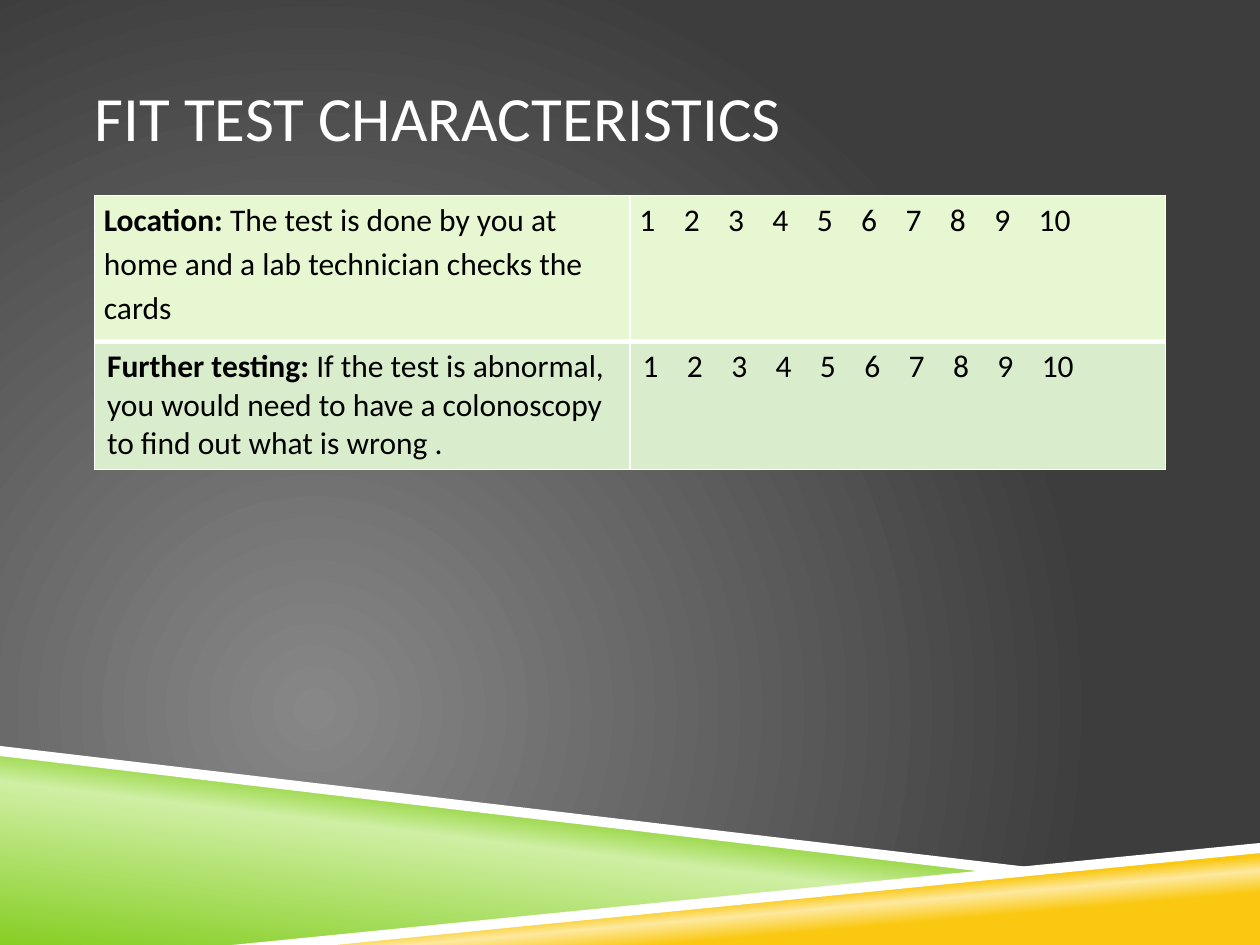
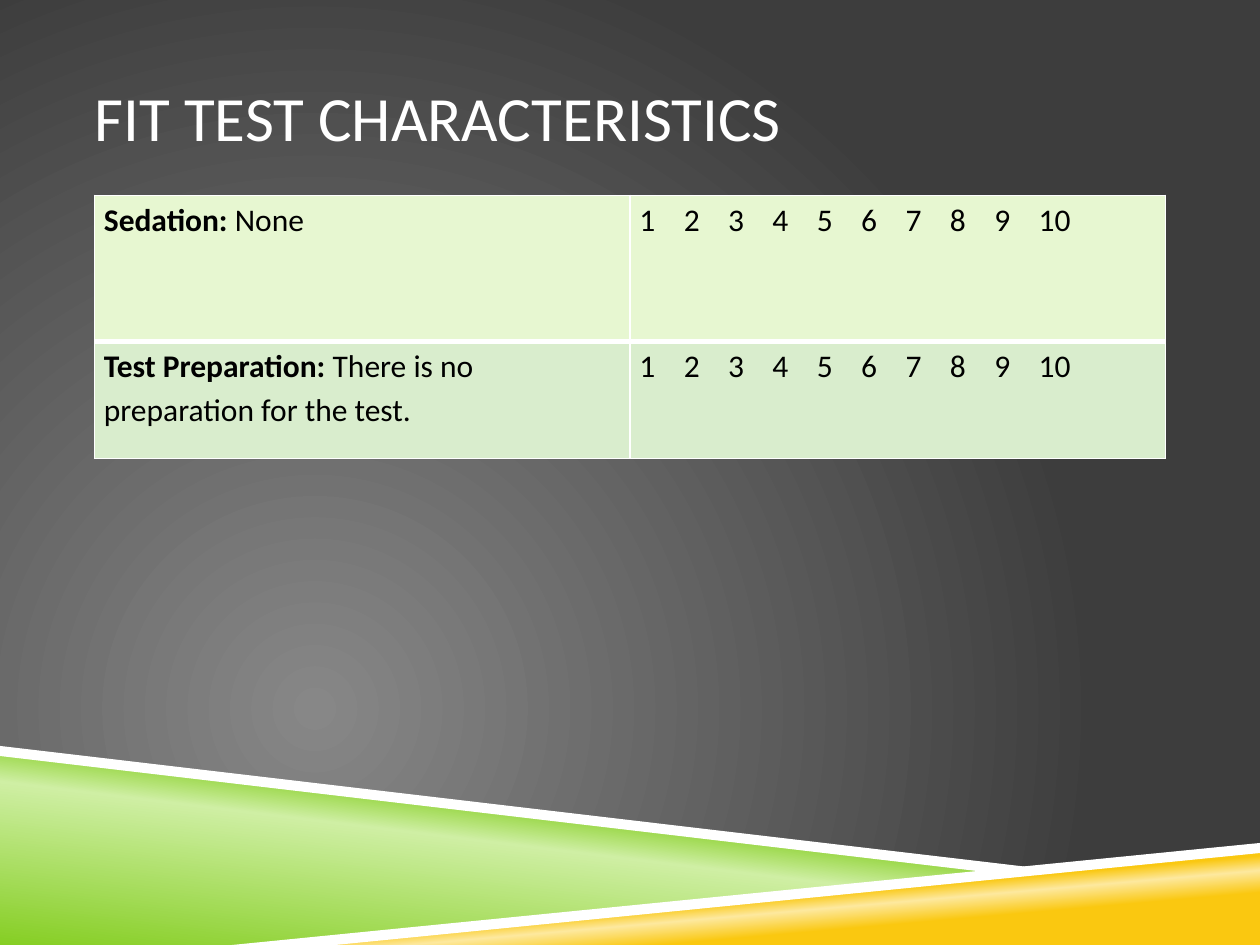
"""Build two FIT test rating slides on a shared dark layout with slanted bands."""
from dataclasses import dataclass

from lxml import etree
from pptx import Presentation
from pptx import util as u
from pptx.dml.color import RGBColor
from pptx.enum import shapes as s
from pptx.enum import text as t
from pptx.oxml.ns import qn


@dataclass(frozen=True)
class Theme:
    font: str = "Calibri"
    title_size: int = 36
    body_size: int = 18
    white: str = "FFFFFF"
    black: str = "000000"
    glow: str = "878787"
    dark: str = "3D3D3D"
    green: str = "86CE24"
    pale_green: str = "CFEFA4"
    yellow: str = "FAC810"
    pale_yellow: str = "FDE99F"
    row_fills: tuple = ("E7F7D1", "D9EDCD")


THEME = Theme()
WIDTH, HEIGHT = 10, 7.5
MARGIN = 0.075 * WIDTH
COLUMN = (WIDTH - 2 * MARGIN) / 2
TITLE_TOP, TABLE_TOP = 0.04 * HEIGHT, 1.55
SCORE_STEP = 0.352
SCORES = "\t".join(str(score) for score in range(1, 11))


def write(para, content, size=THEME.body_size, color=THEME.black, bold=False):
    span = para.add_run()
    span.text = content
    span.font.name = THEME.font
    span.font.size = u.Pt(size)
    span.font.bold = bold
    span.font.color.rgb = RGBColor.from_string(color)


def paint_gradient(fill, element, stops, angle=None):
    fill.gradient()
    gradient = element.find(".//" + qn("a:gradFill"))
    gradient.clear()
    stop_list = etree.SubElement(gradient, qn("a:gsLst"))
    for position, color in stops:
        stop = etree.SubElement(stop_list, qn("a:gs"), pos=str(position * 1000))
        etree.SubElement(stop, qn("a:srgbClr"), val=color)
    if angle is None:
        circle = etree.SubElement(gradient, qn("a:path"), path="circle")
        etree.SubElement(circle, qn("a:fillToRect"), l="50000", t="100000", r="100000", b="50000")
    else:
        etree.SubElement(gradient, qn("a:lin"), ang=str(angle * 60000), scaled="0")


deck = Presentation()
deck.slide_width, deck.slide_height = u.Inches(WIDTH), u.Inches(HEIGHT)
master = deck.slide_master
paint_gradient(master.background.fill, master.element, [(0, THEME.glow), (100, THEME.dark)])

layout = deck.slide_layouts.get_by_name("Title Only")
for unused in [other for other in deck.slide_layouts if other.name != layout.name]:
    deck.slide_layouts.remove(unused)
for holder in [*master.placeholders, *layout.placeholders]:
    if holder.placeholder_format.type != s.PP_PLACEHOLDER.TITLE:
        holder.element.getparent().remove(holder.element)

heading = layout.placeholders[0]
heading.left, heading.top = u.Inches(MARGIN), u.Inches(TITLE_TOP)
heading.width, heading.height = u.Inches(2 * COLUMN), u.Inches(TABLE_TOP - TITLE_TOP)
heading.text_frame.margin_left = heading.text_frame.margin_right = 0
heading.text_frame.vertical_anchor = t.MSO_ANCHOR.MIDDLE

TIGHT, LOOSE = 1.0, 1.15
tables = [
    [
        (1.16, LOOSE, "Location: ",
         "The test is done by you at home and a lab technician checks the cards"),
        (1.0, TIGHT, "Further testing: ",
         "If the test is abnormal, you would need to have a colonoscopy to find out what is wrong ."),
    ],
    [
        (1.16, LOOSE, "Sedation: ", "None"),
        (0.93, LOOSE, "Test Preparation:", " There is no preparation for the test."),
    ],
]
pages = [deck.slides.add_slide(layout) for _ in tables]

yellow_stops = [(28, THEME.yellow), (40, THEME.pale_yellow), (48, THEME.yellow)]
green_stops = [(0, THEME.green), (52, THEME.pale_green), (66, THEME.green)]
bands = [
    ([(1.98, HEIGHT), (WIDTH, 6.72), (WIDTH, HEIGHT)], yellow_stops, 265),
    ([(0, 5.97), (7.92, 6.92), (2, HEIGHT), (0, HEIGHT)], green_stops, 277),
    ([(0, 5.92), (0, 6), (7.9, 6.93), (8.32, 6.9)], None, None),
    ([(WIDTH, 6.69), (1.84, HEIGHT), (2.66, HEIGHT), (WIDTH, 6.77)], None, None),
]
for number, (corners, stops, angle) in enumerate(bands, start=20):
    points = [(u.Inches(x), u.Inches(y)) for x, y in corners]
    outline = pages[0].shapes.build_freeform(*points[0])
    outline.add_line_segments(points[1:], close=True)
    band = outline.convert_to_shape()
    band.shadow.inherit = False
    band.line.fill.background()
    if stops:
        paint_gradient(band.fill, band.element, stops, angle)
    else:
        band.fill.solid()
        band.fill.fore_color.rgb = RGBColor.from_string(THEME.white)
    band.element.nvSpPr.cNvPr.set("id", str(number))
    layout.element.cSld.spTree.append(band.element)

for page, rows in zip(pages, tables):
    para = page.shapes.title.text_frame.paragraphs[0]
    para.alignment = t.PP_ALIGN.LEFT
    write(para, "FIT TEST CHARACTERISTICS", size=THEME.title_size, color=THEME.white)

    table_height = sum(row[0] for row in rows)
    frame = page.shapes.add_table(len(rows), 2, u.Inches(MARGIN), u.Inches(TABLE_TOP),
                                  u.Inches(2 * COLUMN), u.Inches(table_height))
    table = frame.table
    table.first_row = table.horz_banding = False
    for index, (height, spacing, label, detail) in enumerate(rows):
        table.rows[index].height = u.Inches(height)
        for column, cell in enumerate(table.rows[index].cells):
            cell.fill.solid()
            cell.fill.fore_color.rgb = RGBColor.from_string(THEME.row_fills[index])
            if spacing == LOOSE:
                cell.margin_left = cell.margin_right = u.Pt(5.4)
                cell.margin_top = cell.margin_bottom = 0
            para = cell.text_frame.paragraphs[0]
            para.line_spacing = spacing
            if column == 0:
                write(para, label, bold=True)
                write(para, detail)
            else:
                write(para, SCORES)
                tabs = etree.SubElement(para._p.get_or_add_pPr(), qn("a:tabLst"))
                for stop in range(1, 10):
                    etree.SubElement(tabs, qn("a:tab"), pos=str(u.Inches(stop * SCORE_STEP)), algn="l")

            properties = cell._tc.get_or_add_tcPr()
            for place, side in enumerate("LRTB"):
                weight = 3 if index == 0 and side == "B" else 1
                border = properties.makeelement(qn("a:ln" + side), {"w": str(u.Pt(weight))})
                paint = etree.SubElement(border, qn("a:solidFill"))
                etree.SubElement(paint, qn("a:srgbClr"), val=THEME.white)
                properties.insert(place, border)

deck.save("out.pptx")
